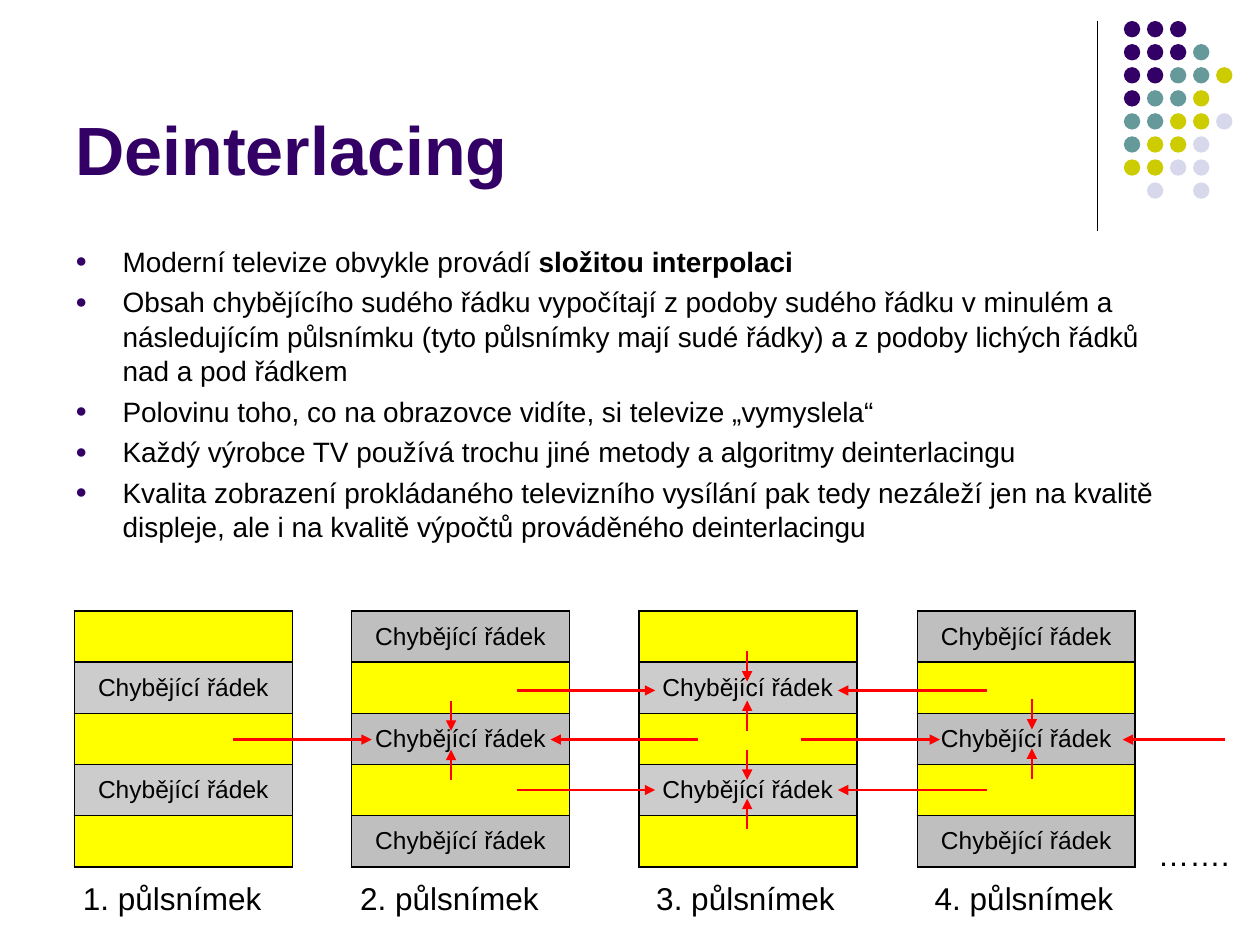
import lxml.etree
import pptx
import pptx.dml.color
import pptx.enum.shapes
import pptx.enum.text
import pptx.oxml.ns
import pptx.util

RGBColor = pptx.dml.color.RGBColor
BLACK = RGBColor(0, 0, 0)
WHITE = RGBColor(255, 255, 255)
PURPLE = RGBColor(0x33, 0x00, 0x66)
TEAL = RGBColor(0x66, 0x99, 0x99)
OLIVE = RGBColor(0xCC, 0xCC, 0x00)
LILAC = RGBColor(0xD8, 0xD8, 0xEC)
YELLOW = RGBColor(255, 255, 0)
LIGHT = RGBColor(0xCC, 0xCC, 0xCC)
GREY = RGBColor(0xBF, 0xBF, 0xBF)
RED = RGBColor(255, 0, 0)

COLS, ROWS = 100, 75
MISSING = "Chybějící řádek"
DOTS = ["PPP", "PPPT", "PPTTO", "PTTO", "TTOOL", "TOOL", "OOLL", " L L"]
HUES = {"P": PURPLE, "T": TEAL, "O": OLIVE, "L": LILAC}
POINTS = [
    [("Moderní televize obvykle provádí ", False), ("složitou interpolaci", True)],
    [("Obsah chybějícího sudého řádku vypočítají z podoby sudého řádku v minulém a "
      "následujícím půlsnímku (tyto půlsnímky mají sudé řádky) a z podoby lichých "
      "řádků nad a pod řádkem", False)],
    [("Polovinu toho, co na obrazovce vidíte, si televize „vymyslela“", False)],
    [("Každý výrobce TV používá trochu jiné metody a algoritmy deinterlacingu", False)],
    [("Kvalita zobrazení prokládaného televizního vysílání pak tedy nezáleží jen na "
      "kvalitě displeje, ale i na kvalitě výpočtů prováděného deinterlacingu", False)],
]
FIELDS = [(5.9, 5.6), (27.9, 27.6), (50.7, 51.1), (72.8, 73.2)]
ACROSS = {
    54.8: [(41, 52), (78.3, 66.5)],
    58.7: [(18.5, 29.5), (55.4, 43.7), (63.6, 74.6), (97.2, 89.1)],
    62.7: [(41, 52), (78.3, 66.5)],
}
PAIRS = [(35.8, 55.6), (59.3, 59.5), (59.3, 51.7), (81.9, 55.5)]


def write(para, text, size=18, color=BLACK, bold=False, font="Arial"):
    run = para.add_run()
    run.text = text
    run.font.name = font
    run.font.size = pptx.util.Pt(size)
    run.font.bold = bold
    run.font.color.rgb = color


def add(node, tag, **attrs):
    return lxml.etree.SubElement(node, pptx.oxml.ns.qn(tag), **attrs)


class Deck:
    def __init__(self):
        self.show = pptx.Presentation()
        self.show.slide_width = pptx.util.Inches(10)
        self.show.slide_height = pptx.util.Inches(7.5)
        self.slide = self.show.slides.add_slide(self.show.slide_layouts[6])
        self.slide.background.fill.solid()
        self.slide.background.fill.fore_color.rgb = WHITE
        self.shapes = self.slide.shapes

    def x(self, cols):
        return round(self.show.slide_width * cols / COLS)

    def y(self, rows):
        return round(self.show.slide_height * rows / ROWS)

    def area(self, left, top, width, height):
        return self.x(left), self.y(top), self.x(width), self.y(height)

    def dot(self, left, top, size, color):
        oval = pptx.enum.shapes.MSO_SHAPE.OVAL
        dot = self.shapes.add_shape(oval, *self.area(left, top, size, size))
        dot.shadow.inherit = False
        dot.fill.solid()
        dot.fill.fore_color.rgb = color
        dot.line.fill.background()

    def line(self, start, end, color, width, arrow=True):
        kind = pptx.enum.shapes.MSO_CONNECTOR.STRAIGHT
        line = self.shapes.add_connector(
            kind, self.x(start[0]), self.y(start[1]), self.x(end[0]), self.y(end[1]))
        line.line.color.rgb = color
        line.line.width = pptx.util.Pt(width)
        props = line.element.spPr
        if arrow:
            add(props.find(pptx.oxml.ns.qn("a:ln")), "a:tailEnd", type="triangle")
        add(props, "a:effectLst")

    def box(self, left, top, width, height):
        frame = self.shapes.add_textbox(*self.area(left, top, width, height)).text_frame
        frame.word_wrap = True
        return frame

    def label(self, text, *place, low=False, **style):
        frame = self.box(*place)
        if low:
            frame.vertical_anchor = pptx.enum.text.MSO_ANCHOR.BOTTOM
        write(frame.paragraphs[0], text, **style)

    def bullets(self, items, *place):
        frame = self.box(*place)
        for i, item in enumerate(items):
            para = frame.add_paragraph() if i else frame.paragraphs[0]
            para.line_spacing = 1.03
            para.space_before = pptx.util.Pt(3.4 if i else 0)
            props = para._p.get_or_add_pPr()
            indent = self.x(3.75)
            props.set("marL", str(indent))
            props.set("indent", str(-indent))
            add(add(props, "a:buClr"), "a:srgbClr", val=str(PURPLE))
            add(props, "a:buSzPct", val="70000")
            add(props, "a:buFont", typeface="Arial")
            add(props, "a:buChar", char="●")
            for text, bold in item:
                write(para, text, size=16, bold=bold)

    def border(self, cell):
        props = cell._tc.get_or_add_tcPr()
        for side in "LRTB":
            edge = add(props, "a:ln" + side, w=str(pptx.util.Pt(1)))
            add(add(edge, "a:solidFill"), "a:srgbClr", val=str(BLACK))

    def field(self, left, top, odd, gap):
        frame = self.shapes.add_table(5, 1, *self.area(left, top, 17.3, 20.3))
        table = frame.table
        table.first_row = table.horz_banding = False
        for i, row in enumerate(table.rows):
            row.height = self.y(4.06)
            cell = row.cells[0]
            blank = i % 2 == odd
            self.border(cell)
            cell.fill.solid()
            cell.fill.fore_color.rgb = gap if blank else YELLOW
            if blank:
                cell.vertical_anchor = pptx.enum.text.MSO_ANCHOR.MIDDLE
                para = cell.text_frame.paragraphs[0]
                para.alignment = pptx.enum.text.PP_ALIGN.CENTER
                write(para, MISSING, size=14)


def main():
    deck = Deck()
    deck.line((87.1, 1.7), (87.1, 18.3), BLACK, 0.75, arrow=False)
    for row, codes in enumerate(DOTS):
        for col, code in enumerate(codes):
            if code in HUES:
                deck.dot(89.2 + 1.83 * col, 1.67 + 1.83 * row, 1.3, HUES[code])

    deck.label("Deinterlacing", 5, 1.3, 82.5, 14.2,
               low=True, size=39, color=PURPLE, bold=True)
    deck.bullets(POINTS, 5, 18.8, 90, 48.2)

    for i, (left, edge) in enumerate(FIELDS):
        odd = (i + 1) % 2
        deck.field(left, 48.5, odd, LIGHT if odd else GREY)
        deck.label(f"{i + 1}. půlsnímek", edge, 69.3, 16.5, 4)
    deck.label("…….", 90.9, 65.8, 8.1, 4)

    for y, spans in ACROSS.items():
        for start, end in spans:
            deck.line((start, y), (end, y), RED, 1.25)
    for x, y in PAIRS:
        deck.line((x, y), (x, y + 2.4), RED, 1.5)
        deck.line((x, y + 6.3), (x, y + 3.9), RED, 1.5)

    deck.show.save("out.pptx")


if __name__ == "__main__":
    main()
